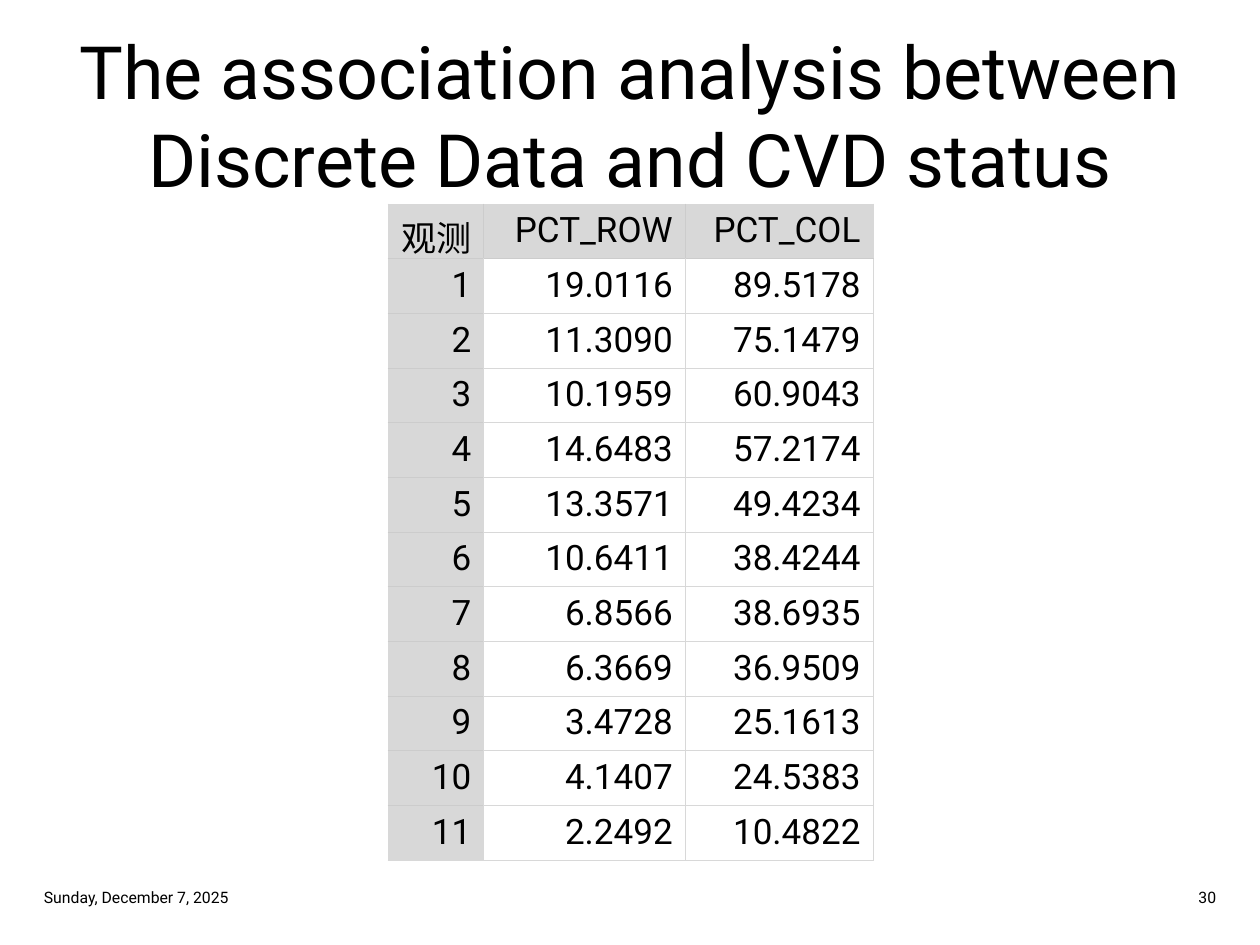
from lxml import etree
from pptx import Presentation, util as u
from pptx.dml.color import RGBColor
from pptx.enum import text
from pptx.oxml.ns import qn

COLORS = {"ink": "000000", "paper": "FFFFFF", "header": "D8D8D8", "rule": "CCCCCC"}
LEFT, CENTER, RIGHT = text.PP_ALIGN.LEFT, text.PP_ALIGN.CENTER, text.PP_ALIGN.RIGHT

deck = Presentation()
deck.slide_width, deck.slide_height = u.Inches(10), u.Inches(7.5)
page = deck.slides.add_slide(deck.slide_layouts[6])


def write(frame, words, size, align):
    frame.text = words
    for paragraph in frame.paragraphs:
        paragraph.alignment = align
        for run in paragraph.runs:
            for key, value in {"size": u.Pt(size), "name": "Roboto"}.items():
                setattr(run.font, key, value)
            run.font.color.rgb = RGBColor.from_string(COLORS["ink"])


def draw_border(cell, side, color):
    line = etree.SubElement(cell._tc.get_or_add_tcPr(), qn(f"a:{side}"), w=str(u.Pt(0.5)))
    fill = etree.SubElement(line, qn("a:solidFill"))
    etree.SubElement(fill, qn("a:srgbClr"), val=color)


margin, footer_top, footer_width, footer_height = 0.25, 6.99, 2.38, 0.26
captions = [
    ("The association analysis between\vDiscrete Data and CVD status",
     margin, margin, 10 - 2 * margin, 1.31, 42, CENTER),
    ("Sunday, December 7, 2025",
     margin, footer_top, footer_width, footer_height, 9, LEFT),
    ("30", 10 - margin - footer_width, footer_top, footer_width, footer_height, 9, RIGHT),
]
for words, left, top, width, height, size, align in captions:
    caption = page.shapes.add_textbox(*map(u.Inches, (left, top, width, height))).text_frame
    for key, value in {"word_wrap": True, "vertical_anchor": text.MSO_ANCHOR.MIDDLE}.items():
        setattr(caption, key, value)
    write(caption, words, size, align)

header = ("观测", "PCT_ROW", "PCT_COL")
percentages = [
    ("19.0116", "89.5178"),
    ("11.3090", "75.1479"),
    ("10.1959", "60.9043"),
    ("14.6483", "57.2174"),
    ("13.3571", "49.4234"),
    ("10.6411", "38.4244"),
    ("6.8566", "38.6935"),
    ("6.3669", "36.9509"),
    ("3.4728", "25.1613"),
    ("4.1407", "24.5383"),
    ("2.2492", "10.4822"),
]
observations = [header] + [(str(n), *pair) for n, pair in enumerate(percentages, 1)]
column_widths, row_height = (0.76, 1.6, 1.49), 0.42
last_row, last_column = len(observations) - 1, len(header) - 1

table = page.shapes.add_table(
    len(observations), len(header), u.Inches(3.08), u.Inches(1.62),
    u.Inches(sum(column_widths)), u.Inches(row_height * len(observations))).table
for flag in ("first_row", "horz_banding"):
    setattr(table, flag, False)
for column, width in zip(table.columns, column_widths):
    column.width = u.Inches(width)

for r, observation in enumerate(observations):
    table.rows[r].height = u.Inches(row_height)
    for c, words in enumerate(observation):
        cell = table.cell(r, c)
        write(cell.text_frame, words, 20, RIGHT)
        shaded = r == 0 or c == 0
        outer = {"lnL": c == 0, "lnR": c == last_column, "lnT": r == 0, "lnB": r == last_row}
        inner = {"lnL": r == 0, "lnR": shaded, "lnT": c == 0 or r == 1, "lnB": shaded}
        for side, on_edge in outer.items():
            draw_border(cell, side, COLORS["rule" if inner[side] and not on_edge else "header"])
        cell.fill.solid()
        cell.fill.fore_color.rgb = RGBColor.from_string(COLORS["header" if shaded else "paper"])

deck.save("out.pptx")
